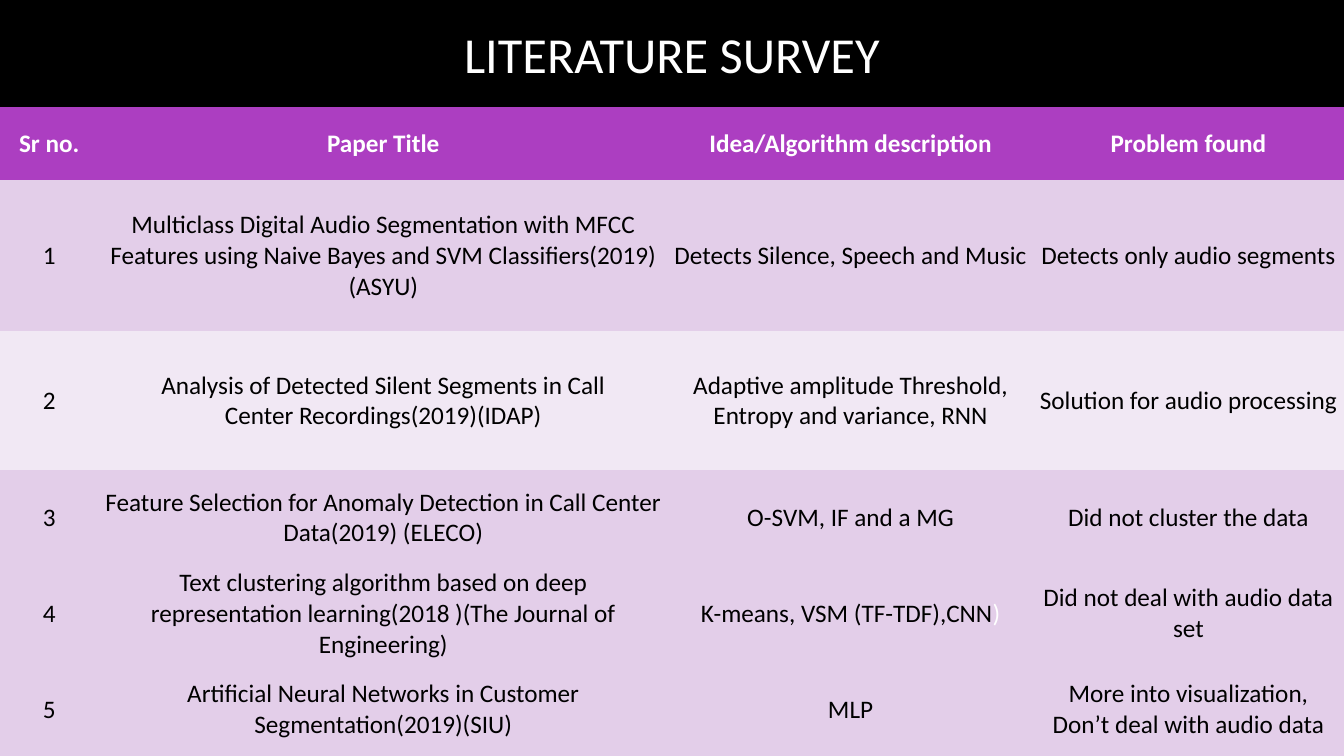
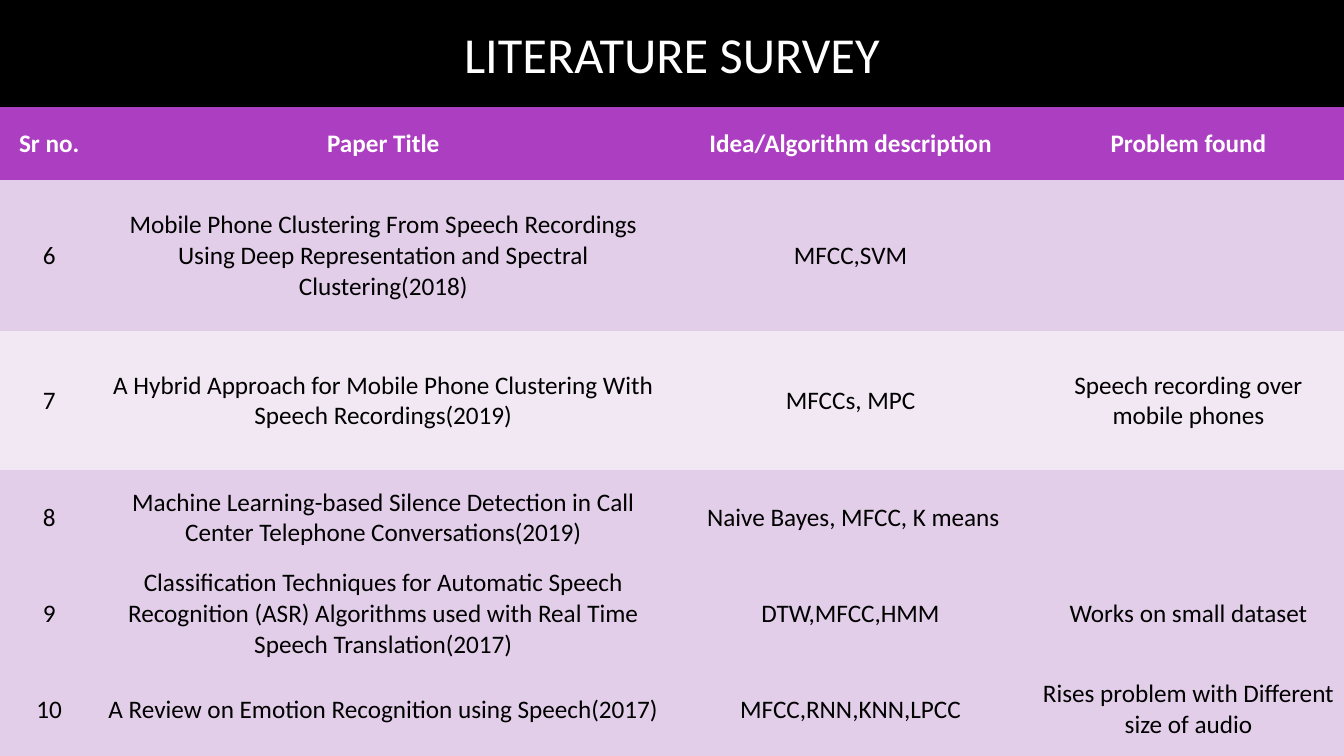
from dataclasses import dataclass
from typing import Any

from pptx import Presentation
from pptx.dml.color import RGBColor
from pptx.enum.text import MSO_ANCHOR, PP_ALIGN
from pptx.presentation import Presentation as Deck
from pptx.slide import Slide
from pptx.table import _Cell as Cell
from pptx.util import Cm, Pt


@dataclass(frozen=True)
class Theme:
    font: str = "Calibri"
    title_size: int = 36
    table_size: int = 18
    background: str = "000000"
    light_text: str = "FFFFFF"
    dark_text: str = "000000"
    header: str = "AC3EC1"
    band: str = "E3CEE9"
    pale_band: str = "F1E8F4"


@dataclass(frozen=True)
class Span:
    text: str
    color: str
    size: int
    bold: bool = False


@dataclass(frozen=True)
class Paper:
    number: int
    title: str
    idea: str
    problem: str = ""
    idea_end: str = ""


THEME = Theme()
SLIDE_WIDTH, SLIDE_HEIGHT = Cm(33.87), Cm(19.05)
TITLE_HEIGHT = Cm(2.69)
COLUMN_WIDTHS = [Cm(width) for width in (2.48, 14.36, 9.19, 7.84)]
ROW_HEIGHTS = [Cm(height) for height in (1.85, 3.81, 3.5, 2.4, 2.4, 2.4)]
ROW_FILLS = [THEME.header, THEME.band, THEME.pale_band] + [THEME.band] * 3
PLAIN_TABLE_STYLE = "{2D5ABB26-0587-4C30-8999-92F81FD0307C}"
TITLE = "LITERATURE SURVEY"
HEADINGS = ("Sr no.", "Paper Title", "Idea/Algorithm description", "Problem found")
CELL_FORMAT = {
    "vertical_anchor": MSO_ANCHOR.MIDDLE,
    "margin_left": Cm(0.13),
    "margin_right": Cm(0.13),
    "margin_top": Cm(0.05),
    "margin_bottom": Cm(0.05),
}

SURVEY_PAGES = [
    [
        Paper(1, "Multiclass Digital Audio Segmentation with MFCC\n"
              "Features using Naive Bayes and SVM Classifiers(2019)(ASYU)",
              "Detects Silence, Speech and Music", "Detects only audio segments"),
        Paper(2, "Analysis of Detected Silent Segments in Call\n"
              "Center Recordings(2019)(IDAP)",
              "Adaptive amplitude Threshold, Entropy and variance, RNN",
              "Solution for audio processing"),
        Paper(3, "Feature Selection for Anomaly Detection in Call "
              "Center Data(2019) (ELECO)",
              "O-SVM, IF and a MG", "Did not cluster the data"),
        Paper(4, "Text clustering algorithm based on deep\n"
              "representation learning(2018 )(The Journal of Engineering)",
              "K-means, VSM (TF-TDF),CNN", "Did not deal with audio data set", ")"),
        Paper(5, "Artificial Neural Networks in Customer Segmentation(2019)(SIU)",
              "MLP", "More into visualization, Don’t deal with audio data"),
    ],
    [
        Paper(6, "Mobile Phone Clustering From Speech Recordings\n"
              "Using Deep Representation and Spectral Clustering(2018)", "MFCC,SVM"),
        Paper(7, "A Hybrid Approach for Mobile Phone Clustering With "
              "Speech Recordings(2019)",
              "MFCCs, MPC", "Speech recording over mobile phones"),
        Paper(8, "Machine Learning-based Silence Detection in Call\n"
              "Center Telephone Conversations(2019)", " Naive Bayes, MFCC, K means"),
        Paper(9, "Classification Techniques for Automatic Speech\n"
              "Recognition (ASR) Algorithms used with Real Time\n"
              "Speech Translation(2017)",
              "DTW,MFCC,HMM", "Works on small dataset"),
        Paper(10, "A Review on Emotion Recognition using Speech(2017)",
              "MFCC,RNN,KNN,LPCC", "Rises problem with Different size of audio"),
    ],
]


def apply_format(target: Any, values: dict[str, Any]) -> None:
    for name, value in values.items():
        setattr(target, name, value)


def add_span(para: Any, span: Span) -> None:
    para.alignment = PP_ALIGN.CENTER
    run = para.add_run()
    run.text = span.text
    apply_format(run.font, {"name": THEME.font, "size": Pt(span.size), "bold": span.bold})
    run.font.color.rgb = RGBColor.from_string(span.color)


def write_lines(frame: Any, span: Span) -> None:
    for index, line in enumerate(span.text.split("\n")):
        para = frame.add_paragraph() if index else frame.paragraphs[0]
        add_span(para, Span(line, span.color, span.size, span.bold))


def fill_cell(cell: Cell, text: str, row: int) -> None:
    cell.fill.solid()
    cell.fill.fore_color.rgb = RGBColor.from_string(ROW_FILLS[row])
    apply_format(cell, CELL_FORMAT)
    if text:
        color = THEME.dark_text if row else THEME.light_text
        write_lines(cell.text_frame, Span(text, color, THEME.table_size, row == 0))


def add_title(page: Slide) -> None:
    box = page.shapes.title
    apply_format(box, {"left": 0, "top": 0, "width": SLIDE_WIDTH, "height": TITLE_HEIGHT})
    box.text_frame.vertical_anchor = MSO_ANCHOR.MIDDLE
    write_lines(box.text_frame, Span(TITLE, THEME.light_text, THEME.title_size))


def add_survey_table(page: Slide, papers: list[Paper]) -> None:
    frame = page.shapes.add_table(
        len(ROW_HEIGHTS), len(COLUMN_WIDTHS), 0, TITLE_HEIGHT,
        sum(COLUMN_WIDTHS), sum(ROW_HEIGHTS),
    )
    frame.element.xpath(".//a:tableStyleId")[0].text = PLAIN_TABLE_STYLE
    table = frame.table
    for column, width in zip(table.columns, COLUMN_WIDTHS):
        column.width = width
    for row, height in zip(table.rows, ROW_HEIGHTS):
        row.height = height
    entries = [(str(p.number), p.title, p.idea, p.problem) for p in papers]
    for row_index, texts in enumerate([HEADINGS, *entries]):
        for column_index, text in enumerate(texts):
            fill_cell(table.cell(row_index, column_index), text, row_index)
    for row_index, paper in enumerate(papers, start=1):
        if paper.idea_end:
            para = table.cell(row_index, 2).text_frame.paragraphs[-1]
            add_span(para, Span(paper.idea_end, THEME.light_text, THEME.table_size))


def add_survey_page(deck: Deck, papers: list[Paper]) -> None:
    page = deck.slides.add_slide(deck.slide_layouts.get_by_name("Title Only"))
    add_title(page)
    add_survey_table(page, papers)


def main() -> None:
    deck = Presentation()
    apply_format(deck, {"slide_width": SLIDE_WIDTH, "slide_height": SLIDE_HEIGHT})
    background = deck.slide_master.background.fill
    background.solid()
    background.fore_color.rgb = RGBColor.from_string(THEME.background)
    for papers in SURVEY_PAGES:
        add_survey_page(deck, papers)
    deck.save("out.pptx")


if __name__ == "__main__":
    main()
